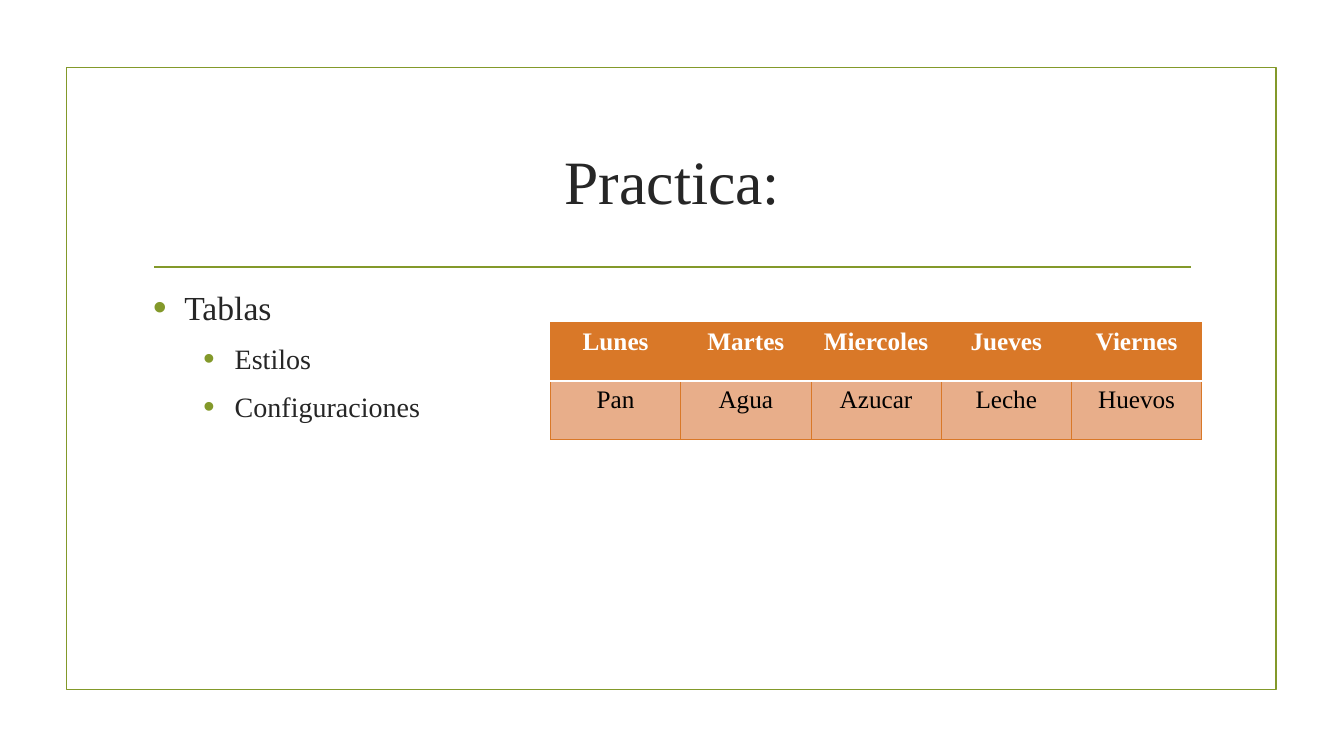
from dataclasses import dataclass

from lxml import etree
from pptx import Presentation
from pptx import util as u
from pptx.dml.color import RGBColor
from pptx.enum import shapes, text
from pptx.oxml.ns import qn


@dataclass(frozen=True)
class Theme:
    """Colours, font and type sizes of the slide."""
    font: str = "Times New Roman"
    ink: str = "262626"
    black: str = "000000"
    white: str = "FFFFFF"
    green: str = "83992A"
    orange: str = "D97828"
    peach: str = "E8AE8A"
    title: int = 44
    body: int = 24
    sub: int = 20
    cell: int = 18
    rule: float = 1.25
    thin: float = 0.75


THEME = Theme()
DAYS = ["Lunes", "Martes", "Miercoles", "Jueves", "Viernes"]
FOODS = ["Pan", "Agua", "Azucar", "Leche", "Huevos"]


def box(*sizes):
    """Turn numbers into inch lengths."""
    return [u.Inches(size) for size in sizes]


def write(para, words, size, color=THEME.ink, bold=False, align=None):
    """Put formatted words into a paragraph."""
    para.alignment = align
    run = para.add_run()
    run.text = words
    font = run.font
    font.name, font.size, font.bold = THEME.font, u.Pt(size), bold
    font.color.rgb = RGBColor.from_string(color)


def frame(slide):
    """Draw the green outline around the page."""
    rect = slide.shapes.add_shape(
        shapes.MSO_SHAPE.RECTANGLE, *box(0.66, 0.67, 12, 6.17))
    rect.shadow.inherit = False
    rect.fill.background()
    rect.line.color.rgb = RGBColor.from_string(THEME.green)
    rect.line.width = u.Pt(THEME.rule)


def rule(slide):
    """Draw the line below the title."""
    line = slide.shapes.add_connector(
        shapes.MSO_CONNECTOR.STRAIGHT, *box(1.53, 2.65, 11.81, 2.65))
    line.line.color.rgb = RGBColor.from_string(THEME.green)
    line.line.width = u.Pt(THEME.rule)
    etree.SubElement(line._element.spPr, qn("a:effectLst"))


def area(slide, *place):
    """Add a wrapping text box and return its text frame."""
    body = slide.shapes.add_textbox(*box(*place)).text_frame
    body.word_wrap = True
    return body


def bullet(para, level):
    """Give a paragraph a green bullet and a hanging indent."""
    para.level = level
    props = para._p.get_or_add_pPr()
    props.set("marL", str(u.Inches(0.31 + 0.5 * level)))
    props.set("indent", str(u.Inches(-0.31)))
    color = etree.SubElement(props, qn("a:buClr"))
    etree.SubElement(color, qn("a:srgbClr"), val=THEME.green)
    etree.SubElement(props, qn("a:buSzPct"), val="115000")
    etree.SubElement(props, qn("a:buFont"), typeface="Arial")
    etree.SubElement(props, qn("a:buChar"), char="•")


def points(slide, items):
    """Write the bulleted list of levels and words."""
    body = area(slide, 1.42, 2.8, 10.5, 3.63)
    for order, (level, words) in enumerate(items):
        para = body.add_paragraph() if order else body.paragraphs[0]
        size = THEME.sub if level else THEME.body
        para.space_before, para.space_after = u.Pt(size * 0.2), u.Pt(6)
        bullet(para, level)
        write(para, words, size)


def edge(cell, side, color, width):
    """Draw one border of a cell."""
    props = cell._tc.get_or_add_tcPr()
    line = etree.SubElement(props, qn(f"a:ln{side}"), w=str(u.Pt(width)))
    fill = etree.SubElement(line, qn("a:solidFill"))
    etree.SubElement(fill, qn("a:srgbClr"), val=color)


def table(slide, rows):
    """Build the table with a header row and a tinted row."""
    grid = slide.shapes.add_table(
        len(rows), len(rows[0]), *box(5.46, 3.2, 6.46, 1.16)).table
    grid.horz_banding = False
    for row, words in enumerate(rows):
        head = row == 0
        for col, word in enumerate(words):
            cell = grid.cell(row, col)
            for side in "LRTB":
                inner = side == ("B" if head else "T")
                edge(cell, side, THEME.white if inner else THEME.orange,
                     THEME.rule if inner else THEME.thin)
            cell.fill.solid()
            cell.fill.fore_color.rgb = RGBColor.from_string(
                THEME.orange if head else THEME.peach)
            write(cell.text_frame.paragraphs[0], word, THEME.cell,
                  color=THEME.white if head else THEME.black,
                  bold=head, align=text.PP_ALIGN.CENTER)


def main():
    """Build and save the slide."""
    deck = Presentation()
    deck.slide_width, deck.slide_height = box(13.33, 7.5)
    slide = deck.slides.add_slide(deck.slide_layouts[6])
    frame(slide)
    rule(slide)
    title = area(slide, 1.42, 1.07, 10.5, 1.43)
    title.vertical_anchor = text.MSO_ANCHOR.MIDDLE
    write(title.paragraphs[0], "Practica:", THEME.title,
          align=text.PP_ALIGN.CENTER)
    points(slide, [(0, "Tablas"), (1, "Estilos"), (1, "Configuraciones")])
    table(slide, [DAYS, FOODS])
    deck.save("out.pptx")


if __name__ == "__main__":
    main()
